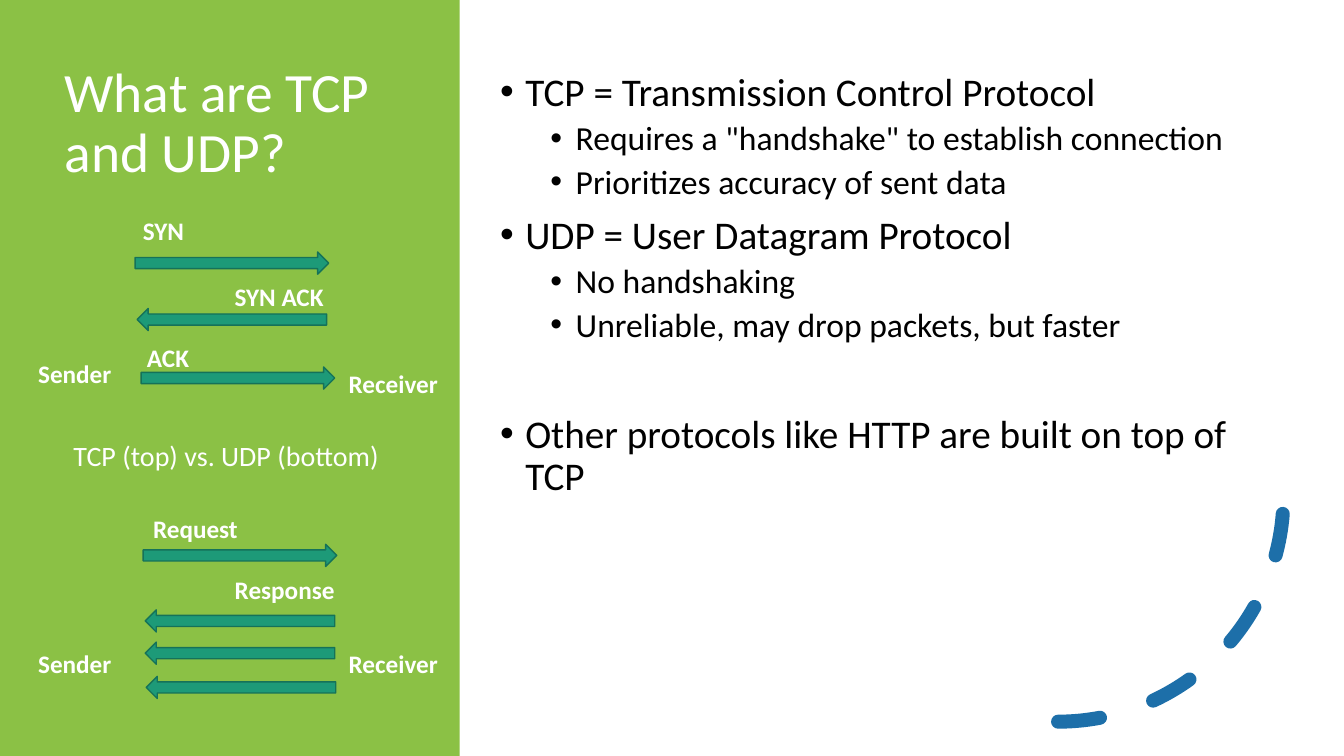
"""Build the slide comparing the TCP and UDP message exchanges."""
from lxml import etree
from pptx import Presentation
from pptx import util as u
from pptx.dml.color import RGBColor
from pptx.enum import dml, shapes, text
from pptx.oxml.ns import qn

WHITE, BLACK, GREEN = "FFFFFF", "000000", "8BC145"
TEAL, DARK_TEAL, BLUE = "1D9A78", "157259", "1D6FA9"


def rgb(value):
    return RGBColor.from_string(value)


class Deck:
    font = "Calibri"

    def __init__(self, width, height):
        self.prs = Presentation()
        self.prs.slide_width = u.Inches(width)
        self.prs.slide_height = u.Inches(height)
        self.s = self.prs.slides.add_slide(self.prs.slide_layouts[1])

    def style(self, p, size, color, bold=False):
        for r in p.runs:
            r.font.name = self.font
            r.font.size = u.Pt(size)
            r.font.bold = bold
            r.font.color.rgb = rgb(color)

    def shape(self, kind, box, fill=None, line=None, width=1):
        sp = self.s.shapes.add_shape(kind, *map(u.Inches, box))
        sp.shadow.inherit = False
        if fill:
            sp.fill.solid()
            sp.fill.fore_color.rgb = rgb(fill)
        else:
            sp.fill.background()
        if line:
            sp.line.color.rgb = rgb(line)
            sp.line.width = u.Pt(width)
        else:
            sp.line.fill.background()
        return sp

    def dashed_arc(self, box, color, width):
        sp = self.shape(shapes.MSO_SHAPE.ARC, box, line=color, width=width)
        sp.line.dash_style = dml.MSO_LINE.DASH
        sp.line._get_or_add_ln().set("cap", "rnd")
        sp._element.spPr.find(qn("a:xfrm")).set("flipV", "1")

    def arrow(self, kind, left, top, width):
        self.shape(kind, (left, top, width, 0.22), TEAL, DARK_TEAL)

    def label(self, words, left, top, width, height=0.4, size=18, bold=True):
        box = map(u.Inches, (left, top, width, height))
        tf = self.s.shapes.add_textbox(*box).text_frame
        tf.word_wrap = True
        tf.text = words
        self.style(tf.paragraphs[0], size, WHITE, bold)

    def placeholder(self, index, box):
        sp = self.s.placeholders[index]
        sp.left, sp.top, sp.width, sp.height = map(u.Inches, box)
        self.s.shapes._spTree.append(sp._element)
        tf = sp.text_frame
        tf.word_wrap = True
        tf.auto_size = text.MSO_AUTO_SIZE.NONE
        tf.vertical_anchor = text.MSO_ANCHOR.TOP
        return tf

    def title(self, words, box):
        tf = self.placeholder(0, box)
        tf.text = words
        p = tf.paragraphs[0]
        p.alignment = text.PP_ALIGN.LEFT
        p.line_spacing = 0.9
        self.style(p, 39.6, WHITE)

    def bullets(self, items, box):
        tf = self.placeholder(1, box)
        for i, (level, before, words) in enumerate(items):
            p = tf.add_paragraph() if i else tf.paragraphs[0]
            p.text = words
            p.level = level
            p.line_spacing = 0.9
            p.space_before = u.Pt(before)
            p.space_after = u.Pt(0)
            pPr = p._p.get_or_add_pPr()
            pPr.set("marL", str(u.Inches(0.25 + 0.5 * level)))
            pPr.set("indent", str(u.Inches(-0.25)))
            etree.SubElement(pPr, qn("a:buFont")).set("typeface", "Arial")
            etree.SubElement(pPr, qn("a:buChar")).set("char", "•")
            self.style(p, 28 - 4 * level, BLACK)


def main():
    deck = Deck(13.33, 7.5)
    right, left = shapes.MSO_SHAPE.RIGHT_ARROW, shapes.MSO_SHAPE.LEFT_ARROW

    deck.shape(shapes.MSO_SHAPE.RECTANGLE, (0, 0, 4.56, 7.5), GREEN)
    deck.title("What are TCP and UDP?", (0.54, 0.59, 3.72, 2.37))
    deck.dashed_arc((8.26, 2.69, 4.47, 4.47), BLUE, 10)
    deck.bullets([
        (0, 0, "TCP = Transmission Control Protocol"),
        (1, 5, 'Requires a "handshake" to establish connection'),
        (1, 5, "Prioritizes accuracy of sent data"),
        (0, 10, "UDP = User Datagram Protocol"),
        (1, 5, "No handshaking"),
        (1, 5, "Unreliable, may drop packets, but faster"),
        (0, 50, "Other protocols like HTTP are built on top of TCP"),
    ], (4.86, 0.67, 7.55, 5.27))

    for x, y in [(1.34, 2.5), (1.42, 5.4), (1.4, 3.64)]:
        deck.arrow(right, x, y, 1.92)
    for x, y in [(1.36, 3.06), (1.44, 6.05), (1.44, 6.37), (1.45, 6.71)]:
        deck.arrow(left, x, y, 1.88)

    for words, x, y, width in [
        ("SYN", 1.32, 2.09, 3),
        ("SYN ACK", 2.23, 2.74, 1.4),
        ("ACK", 1.36, 3.35, 0.7),
        ("Sender", 0.28, 3.51, 1.17),
        ("Receiver", 3.36, 3.61, 3),
        ("Sender", 0.28, 6.38, 0.96),
        ("Receiver", 3.36, 6.38, 3),
        ("Request", 1.42, 5.04, 3),
        ("Response", 2.23, 5.65, 3),
    ]:
        deck.label(words, x, y, width)
    deck.label("TCP (top) vs. UDP (bottom)", 0.63, 4.3, 3.69, 0.44, 20, False)

    deck.prs.save("out.pptx")


if __name__ == "__main__":
    main()
